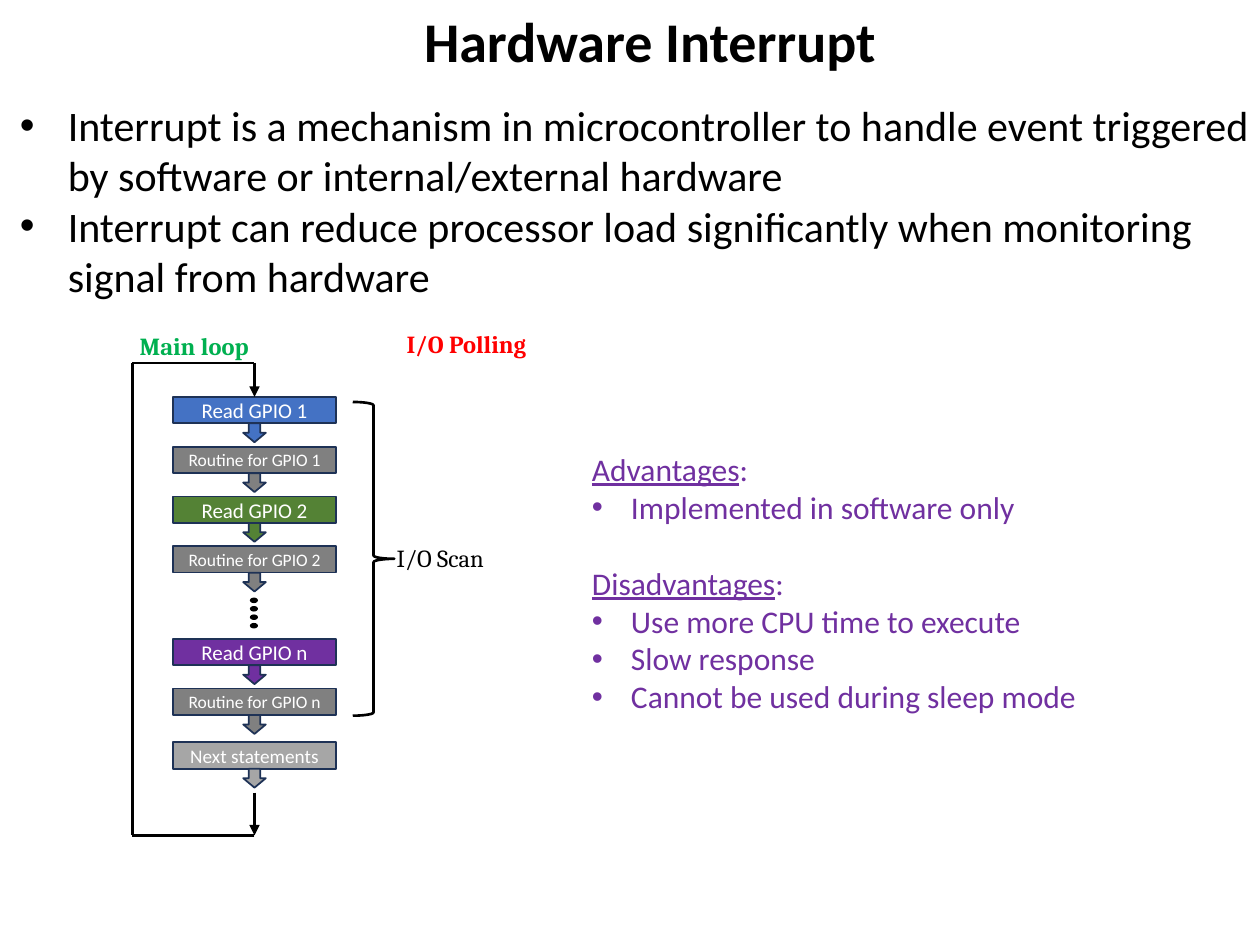
from dataclasses import dataclass

from lxml.etree import SubElement
from pptx import Presentation
from pptx.dml.color import RGBColor
from pptx.enum.shapes import MSO_CONNECTOR as Conn, MSO_SHAPE as Shape
from pptx.enum.text import MSO_ANCHOR as Anchor, MSO_AUTO_SIZE as Auto, PP_ALIGN as Align
from pptx.oxml.ns import qn
from pptx.util import Inches, Pt

CELL = 0.1
BLACK, WHITE, GRAY, PURPLE, EDGE = "000000", "FFFFFF", "808080", "7030A0", "1E3256"
STEP_LEFT, STEP_TOP, STEP_PITCH, STEP_W, STEP_H = 13.75, 31.5, 3.95, 12.9, 2.1
AXIS = STEP_LEFT + STEP_W / 2
LOOP_LEFT, LOOP_TOP, LOOP_BOTTOM = 10.5, 28.8, 66.3


@dataclass
class Step:
    """A flow box, placed by its row in the chain."""
    row: float
    text: str
    fill: str
    size: float


@dataclass
class Label:
    """A one-line caption beside the flow."""
    left: float
    top: float
    width: float
    text: str
    color: str
    bold: bool


STEPS = [
    Step(0, "Read GPIO 1", "4472C4", 12),
    Step(1, "Routine for GPIO 1", GRAY, 10),
    Step(2, "Read GPIO 2", "548235", 12),
    Step(3, "Routine for GPIO 2", GRAY, 10),
    Step(4.86, "Read GPIO n", PURPLE, 12),
    Step(5.86, "Routine for GPIO n", GRAY, 10),
    Step(6.94, "Next statements", "A6A6A6", 11),
]
LABELS = [
    Label(30.5, 42.6, 9.6, "I/O Scan", BLACK, False),
    Label(31.3, 25.6, 12.3, "I/O Polling", "FF0000", True),
    Label(10.1, 25.8, 12.3, "Main loop", "00B050", True),
]
INTRO = [
    "Interrupt is a mechanism in microcontroller to handle event triggered\v"
    "by software or internal/external hardware",
    "Interrupt can reduce processor load significantly when monitoring\vsignal from hardware",
]
REVIEW = {
    "Advantages": ["Implemented in software only"],
    "Disadvantages": ["Use more CPU time to execute", "Slow response",
                      "Cannot be used during sleep mode"],
}


def cells(*counts: float) -> list:
    """Turn counts of grid cells into lengths."""
    return [Inches(n * CELL) for n in counts]


def rgb(color: str) -> RGBColor:
    """Turn a hex string into a colour."""
    return RGBColor.from_string(color)


def style(p, size: float, color: str, name: str = "Calibri", bold: bool = False) -> None:
    """Format every run of a paragraph."""
    for r in p.runs:
        r.font.size, r.font.name, r.font.bold = Pt(size), name, bold
        r.font.color.rgb = rgb(color)


def add_bullet(p, indent: float) -> None:
    """Give a paragraph a hanging bullet."""
    pPr = p._p.get_or_add_pPr()
    pPr.set("marL", str(Inches(indent)))
    pPr.set("indent", str(-Inches(indent)))
    SubElement(pPr, qn("a:buFont"), typeface="Arial")
    SubElement(pPr, qn("a:buChar"), char="•")


def add_text(s, box: tuple, wrap: bool = True):
    """Add an empty text box and return its frame."""
    tf = s.shapes.add_textbox(*cells(*box)).text_frame
    tf.word_wrap = wrap
    return tf


def next_paragraph(tf):
    """Return the unused first paragraph or a new one."""
    return tf.add_paragraph() if tf.text else tf.paragraphs[0]


def add_shape(s, kind, box: tuple, fill: str = "", line: str = EDGE, width: float = 1):
    """Add a flat preset shape."""
    sp = s.shapes.add_shape(kind, *cells(*box))
    sp.shadow.inherit = False
    if fill:
        sp.fill.solid()
        sp.fill.fore_color.rgb = rgb(fill)
    else:
        sp.fill.background()
    sp.line.color.rgb = rgb(line)
    sp.line.width = Pt(width)
    return sp


def add_step(s, step: Step):
    """Draw a flow box with the arrow below it."""
    top = STEP_TOP + step.row * STEP_PITCH
    sp = add_shape(s, Shape.RECTANGLE, (STEP_LEFT, top, STEP_W, STEP_H), step.fill)
    tf = sp.text_frame
    tf.margin_left = tf.margin_right = 0
    tf.vertical_anchor = Anchor.MIDDLE
    p = tf.paragraphs[0]
    p.text, p.alignment = step.text, Align.CENTER
    style(p, step.size, WHITE)
    add_shape(s, Shape.DOWN_ARROW, (AXIS - 0.9, top + STEP_H, 1.8, 1.5), step.fill)
    return sp


def add_line(s, start: tuple, end: tuple, arrow: bool = False):
    """Draw a straight black line, with an arrowhead if asked."""
    c = s.shapes.add_connector(Conn.STRAIGHT, *cells(*start, *end))
    c.line.color.rgb = rgb(BLACK)
    c.line.width = Pt(1.5)
    if arrow:
        SubElement(c.line._get_or_add_ln(), qn("a:tailEnd"), type="triangle")
    SubElement(c._element.spPr, qn("a:effectLst"))
    return c


def add_title(s, text: str) -> None:
    """Place and format the slide title."""
    sp = s.shapes.title
    sp.left, sp.top, sp.width, sp.height = cells(32.5, 0, 38.2, 6.4)
    tf = sp.text_frame
    tf.text = text
    tf.word_wrap, tf.auto_size, tf.vertical_anchor = False, Auto.NONE, Anchor.TOP
    tf.paragraphs[0].alignment = Align.CENTER
    style(tf.paragraphs[0], 32, BLACK, bold=True)


def add_review(s) -> None:
    """List the advantages and disadvantages of polling."""
    tf = add_text(s, (46, 35.2, 40.6, 22.2))
    for heading, points in REVIEW.items():
        p = next_paragraph(tf)
        if p is not tf.paragraphs[0] and tf.text:
            p.space_before = Pt(22)
        for text, underline in ((heading, True), (":", False)):
            r = p.add_run()
            r.text, r.font.underline = text, underline
        style(p, 18, PURPLE)
        for point in points:
            p = next_paragraph(tf)
            add_bullet(p, 0.31)
            p.text = point
            style(p, 18, PURPLE)


def add_flow(s) -> None:
    """Draw the polling loop."""
    boxes = [add_step(s, step) for step in STEPS]
    for i in range(4):
        add_shape(s, Shape.OVAL, (19.9, 47.5 + i * 0.67, 0.5, 0.3), BLACK, BLACK)
    brace = add_shape(s, Shape.RIGHT_BRACE, (28, 31.9, 3.3, 24.9), line=BLACK, width=1.5)
    brace.adjustments[0], brace.adjustments[1] = 0.08, 0.5
    entry = add_line(s, (AXIS, LOOP_TOP), (AXIS, STEP_TOP), True)
    entry.end_connect(boxes[0], 0)
    add_line(s, (AXIS, LOOP_TOP), (LOOP_LEFT, LOOP_TOP))
    add_line(s, (LOOP_LEFT, LOOP_TOP), (LOOP_LEFT, LOOP_BOTTOM))
    add_line(s, (AXIS, LOOP_BOTTOM), (LOOP_LEFT, LOOP_BOTTOM))
    add_line(s, (AXIS, 62.9), (AXIS, LOOP_BOTTOM), True)


def main() -> None:
    """Build and save the slide."""
    prs = Presentation()
    prs.slide_width, prs.slide_height = cells(100, 75)
    s = prs.slides.add_slide(prs.slide_layouts[5])
    add_title(s, "Hardware Interrupt")
    tf = add_text(s, (0.6, 7.4, 100.4, 17.2), wrap=False)
    for text in INTRO:
        p = next_paragraph(tf)
        add_bullet(p, 0.38)
        p.text = text
        style(p, 24, BLACK)
    add_flow(s)
    for label in LABELS:
        p = add_text(s, (label.left, label.top, label.width, 3.4)).paragraphs[0]
        p.text = label.text
        style(p, 14, label.color, "Cambria", label.bold)
    add_review(s)
    prs.save("out.pptx")


if __name__ == "__main__":
    main()
